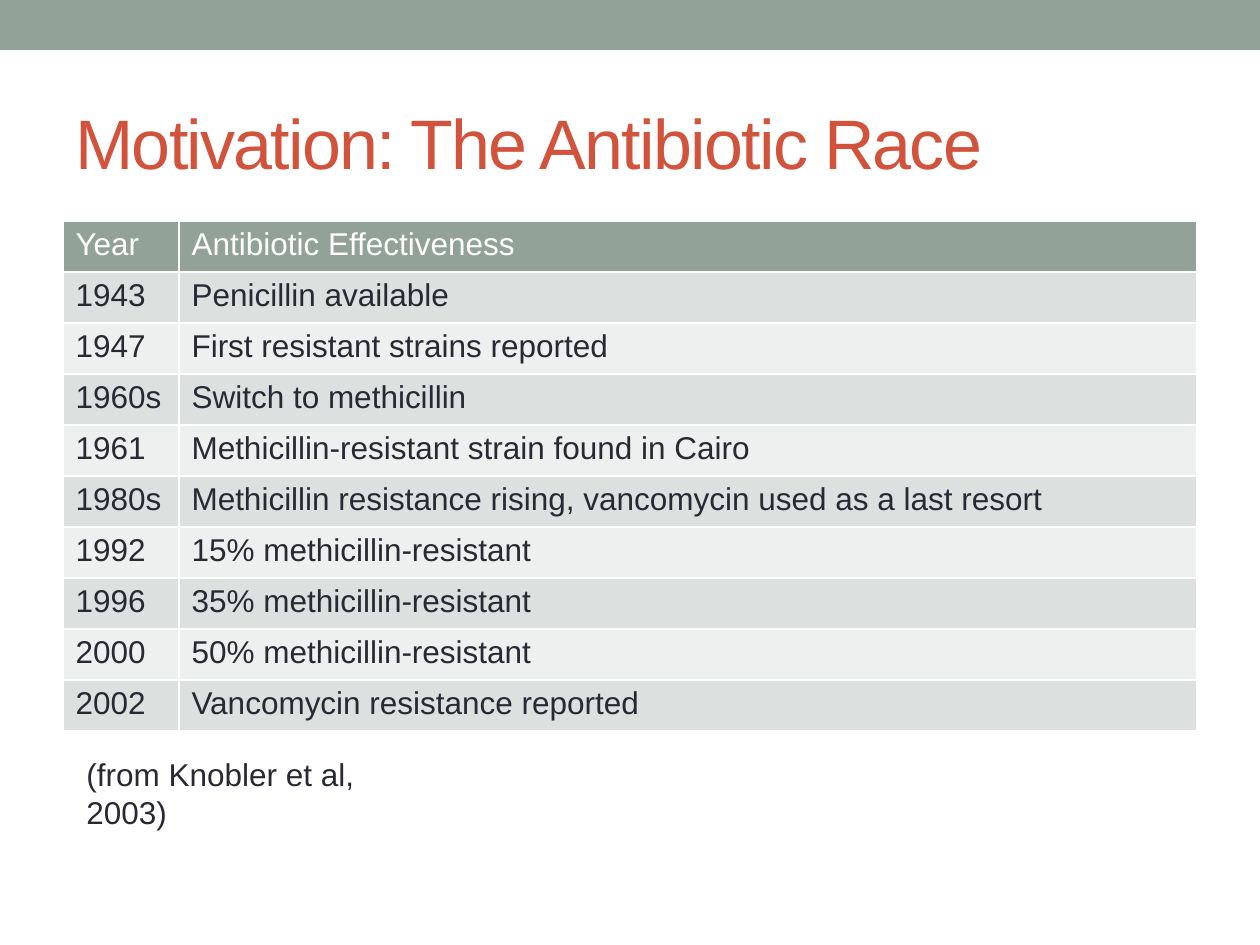
from dataclasses import dataclass

from lxml import etree
from pptx import Presentation
from pptx.dml.color import RGBColor
from pptx.enum import shapes, text
from pptx.oxml import ns
from pptx.util import Pt


@dataclass(frozen=True)
class Theme:
    font: str = "Arial"
    sage: str = "93A299"
    red: str = "D2533C"
    ink: str = "292934"
    white: str = "FFFFFF"
    bands: tuple = ("DCE0DE", "EEF0EF")
    title: int = 40
    body: int = 18
    rule: int = 1


THEME = Theme()
SCALE = 914400 / 126
ROWS = [
    ("Year", "Antibiotic Effectiveness"),
    ("1943", "Penicillin available"),
    ("1947", "First resistant strains reported"),
    ("1960s", "Switch to methicillin"),
    ("1961", "Methicillin-resistant strain found in Cairo"),
    ("1980s", "Methicillin resistance rising, vancomycin used as a last resort"),
    ("1992", "15% methicillin-resistant"),
    ("1996", "35% methicillin-resistant"),
    ("2000", "50% methicillin-resistant"),
    ("2002", "Vancomycin resistance reported"),
]


def px(*sizes):
    return [round(size * SCALE) for size in sizes]


def paint(fill, color):
    fill.solid()
    fill.fore_color.rgb = RGBColor.from_string(color)


def write(frame, words, size=THEME.body, color=THEME.ink, track=0):
    run = frame.paragraphs[0].add_run()
    run.text = words
    run.font.name = THEME.font
    run.font.size = Pt(size)
    run.font.bold = False
    run.font.color.rgb = RGBColor.from_string(color)
    if track:
        run.font._element.set("spc", str(track * 100))


def label(slide, box, words, anchor=text.MSO_ANCHOR.TOP, **style):
    frame = slide.shapes.add_textbox(*px(*box)).text_frame
    frame.word_wrap = True
    frame.vertical_anchor = anchor
    write(frame, words, **style)


def band(slide, box, color):
    shape = slide.shapes.add_shape(shapes.MSO_SHAPE.RECTANGLE, *px(*box))
    shape.shadow.inherit = False
    shape.line.fill.background()
    paint(shape.fill, color)


def edge(cell):
    props = cell._tc.get_or_add_tcPr()
    for side in ("lnL", "lnR", "lnT", "lnB"):
        line = etree.SubElement(props, ns.qn(f"a:{side}"), w=str(Pt(THEME.rule)))
        solid = etree.SubElement(line, ns.qn("a:solidFill"))
        etree.SubElement(solid, ns.qn("a:srgbClr"), val=THEME.white)


def grid(slide, left, top, widths, height, rows):
    box = px(left, top, sum(widths), height * len(rows))
    table = slide.shapes.add_table(len(rows), len(widths), *box).table
    for column, width in zip(table.columns, px(*widths)):
        column.width = width
    for i, row in enumerate(rows):
        table.rows[i].height = px(height)[0]
        back = THEME.bands[(i - 1) % 2] if i else THEME.sage
        color = THEME.ink if i else THEME.white
        for cell, words in zip(table.rows[i].cells, row):
            edge(cell)
            paint(cell.fill, back)
            write(cell.text_frame, words, color=color)


def main():
    deck = Presentation()
    deck.slide_width, deck.slide_height = px(1260, 945)
    slide = deck.slides.add_slide(deck.slide_layouts[6])
    band(slide, (0, 0, 1260, 50), THEME.sage)
    label(slide, (63, 73, 1134, 136), "Motivation: The Antibiotic Race",
          anchor=text.MSO_ANCHOR.MIDDLE, size=THEME.title,
          color=THEME.red, track=-1)
    grid(slide, 63, 221, (116, 1018), 51, ROWS)
    label(slide, (74, 749, 359, 51), "(from Knobler et al, 2003)")
    deck.save("out.pptx")


if __name__ == "__main__":
    main()
